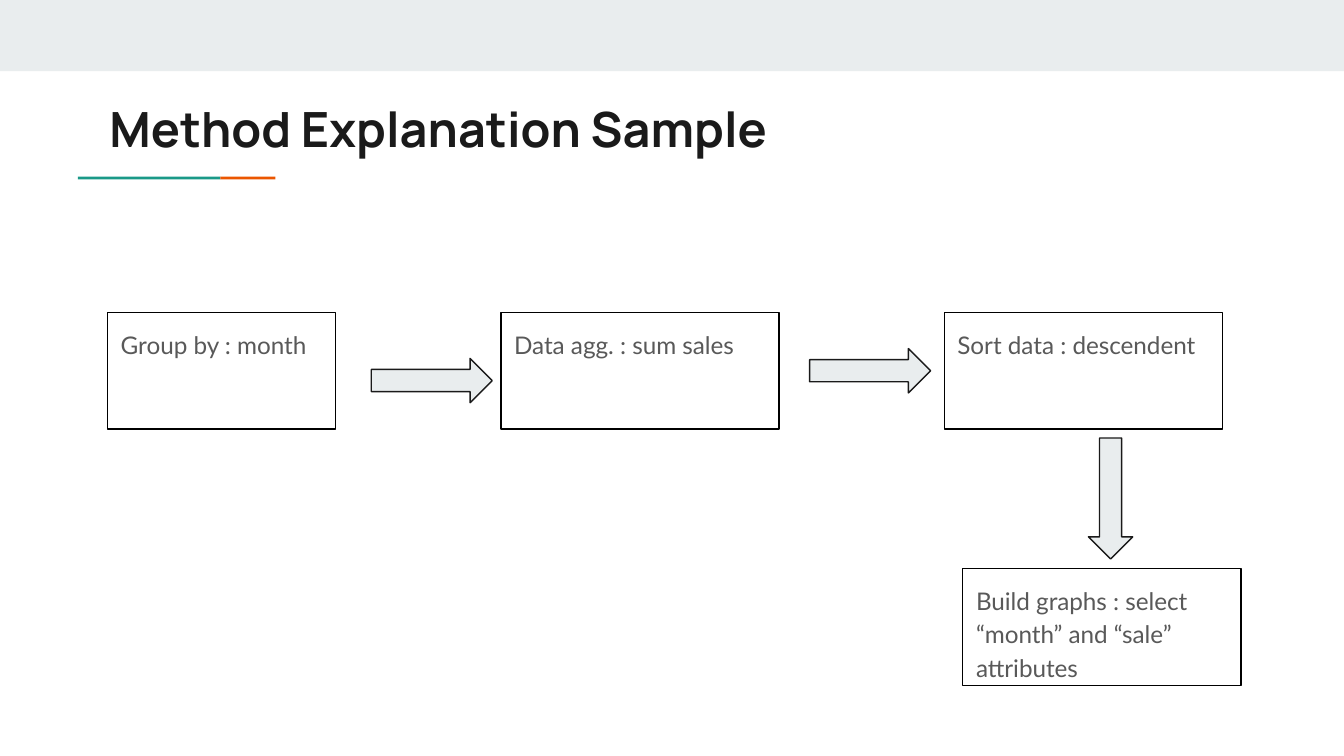
import dataclasses

import pptx
import pptx.dml.color
import pptx.enum.shapes
import pptx.enum.text
import pptx.util

SHAPES = pptx.enum.shapes.MSO_SHAPE
WIDTH = 10
HEIGHT = WIDTH * 9 / 16
CELL = 0.1  # side of one grid cell in inches; all places below count cells


@dataclasses.dataclass(frozen=True)
class Theme:
    band: str = "E9EDEE"
    ink: str = "1A1A1A"
    outline: str = "000000"
    body: str = "595959"
    teal: str = "1A9988"
    orange: str = "EB5600"
    title_font: str = "Manrope"
    body_font: str = "Lato"
    title_size: float = 26
    body_size: float = 13
    line_width: float = 0.75


THEME = Theme()


def cells(count):
    return pptx.util.Inches(count * CELL)


def color(code):
    return pptx.dml.color.RGBColor.from_string(code)


def add_block(page, kind, place, fill=None, line=None):
    """Add a preset shape; place is column, row, columns wide, rows high."""
    block = page.shapes.add_shape(kind, *map(cells, place))
    block.shadow.inherit = False
    if fill:
        block.fill.solid()
        block.fill.fore_color.rgb = color(fill)
    else:
        block.fill.background()
    if line:
        block.line.color.rgb = color(line)
        block.line.width = pptx.util.Pt(THEME.line_width)
    else:
        block.line.fill.background()
    return block


def write_text(box, words, font, size, ink, bold=False):
    frame = box.text_frame
    frame.word_wrap = True
    frame.vertical_anchor = pptx.enum.text.MSO_ANCHOR.TOP
    frame.margin_left = frame.margin_right = cells(1)
    frame.margin_top = frame.margin_bottom = cells(1)
    para = frame.paragraphs[0]
    para.alignment = pptx.enum.text.PP_ALIGN.LEFT
    span = para.add_run()
    span.text = words
    span.font.name = font
    span.font.size = pptx.util.Pt(size)
    span.font.bold = bold
    span.font.color.rgb = color(ink)
    return para


def add_title(page, words):
    box = page.shapes.add_textbox(*map(cells, (7.15, 6.35, 84.1, 5.9)))
    write_text(box, words, THEME.title_font, THEME.title_size, THEME.ink, bold=True)


def add_step(page, words, column, row, columns=20.7):
    box = add_block(page, SHAPES.RECTANGLE, (column, row, columns, 8.7),
                    line=THEME.outline)
    para = write_text(box, words, THEME.body_font, THEME.body_size, THEME.body)
    para.line_spacing = 1.15
    para.space_after = pptx.util.Pt(16)


def add_arrow(page, column, row, turn=0):
    arrow = add_block(page, SHAPES.RIGHT_ARROW, (column, row, 9, 3.3),
                      THEME.band, THEME.ink)
    arrow.rotation = turn


def main():
    deck = pptx.Presentation()
    deck.slide_width = pptx.util.Inches(WIDTH)
    deck.slide_height = pptx.util.Inches(HEIGHT)
    page = deck.slides.add_slide(deck.slide_layouts[6])

    # Top band and two-colour rule under the title
    add_block(page, SHAPES.RECTANGLE, (0, 0, WIDTH / CELL, 5.3), THEME.band)
    add_block(page, SHAPES.RECTANGLE, (5.8, 13.15, 10.6, 0.2), THEME.teal)
    add_block(page, SHAPES.RECTANGLE, (16.4, 13.15, 4.1, 0.2), THEME.orange)
    add_title(page, "Method Explanation Sample")

    # Steps: three across, the last one below
    top = 23.24
    add_step(page, "Group by : month", 8, top, columns=16.95)
    add_step(page, "Data agg. : sum sales", 37.27, top)
    add_step(page, "Sort data : descendent", 70.26, top)
    add_step(page, "Build graphs : select “month” and “sale” attributes", 71.64, 42.3)

    # Arrows between the steps
    add_arrow(page, 27.63, 26.67)
    add_arrow(page, 60.24, 25.94)
    add_arrow(page, 78.13, 35.45, turn=90)

    deck.save("out.pptx")


if __name__ == "__main__":
    main()
